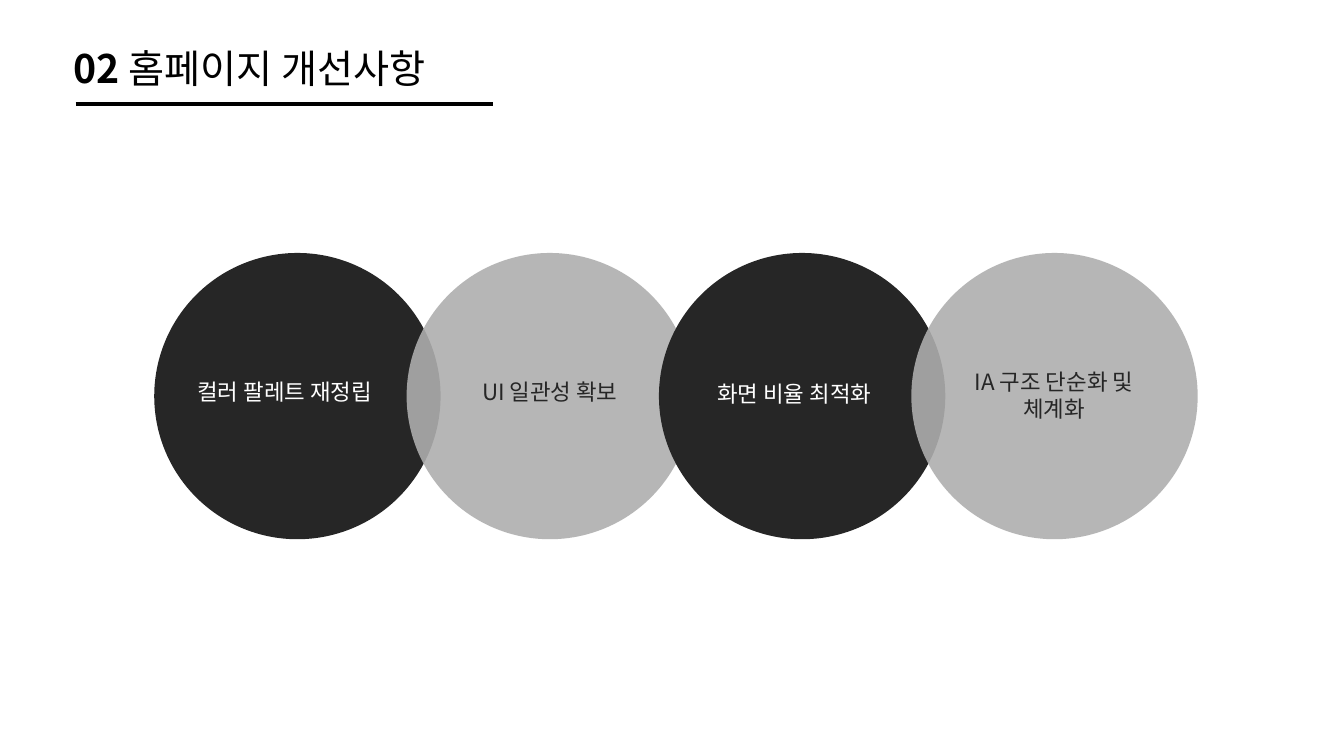
from lxml import etree
from pptx import Presentation
from pptx import util as u
from pptx.dml.color import RGBColor
from pptx.enum import shapes, text
from pptx.oxml import ns

WIDTH, HEIGHT = 13.33, 7.5
KOREAN = "Noto Sans CJK KR"
DARK, GREY, WHITE, BLACK = "262626", "AEAEAE", "FFFFFF", "000000"
DIAMETER, PITCH = 2.84, 2.503

STEPS = [
    ("컬러 팔레트 재정립", (0.33, 1.19, 2.31, 0.37), "Roboto", text.PP_ALIGN.LEFT),
    ("UI 일관성 확보", (0.51, 1.19, 1.82, 0.37), KOREAN, text.PP_ALIGN.CENTER),
    ("화면 비율 최적화", (0.48, 1.21, 1.88, 0.37), "Roboto", text.PP_ALIGN.LEFT),
    ("IA 구조 단순화 및 체계화", (0.31, 1.09, 2.21, 0.64), KOREAN, text.PP_ALIGN.CENTER),
]


def rgb(color):
    return RGBColor.from_string(color)


def inches(*lengths):
    return [u.Inches(length) for length in lengths]


def format_paragraph(p, size, font, color, align):
    p.alignment = align
    p.font.size = u.Pt(size)
    p.font.name = font
    p.font.color.rgb = rgb(color)
    latin = p._p.pPr.find(".//" + ns.qn("a:latin"))
    east_asian = etree.Element(ns.qn("a:ea"), typeface=KOREAN)
    latin.addnext(east_asian)


def add_heading(s, left, top, width, height):
    title = s.shapes.title
    title.left, title.top, title.width, title.height = inches(left, top, width, height)
    tf = title.text_frame
    tf.word_wrap = True
    tf.auto_size = text.MSO_AUTO_SIZE.NONE
    tf.vertical_anchor = text.MSO_ANCHOR.MIDDLE
    p = tf.paragraphs[0]
    p.line_spacing = 0.9
    for words, bold in (("02 ", True), ("홈페이지 개선사항", False)):
        r = p.add_run()
        r.text = words
        r.font.bold = bold
    format_paragraph(p, 28, KOREAN, BLACK, text.PP_ALIGN.LEFT)

    x, y = left + 0.12, top + 0.81
    rule = s.shapes.add_connector(
        shapes.MSO_CONNECTOR.STRAIGHT, *inches(x, y, x + 4.14, y))
    rule.line.color.rgb = rgb(BLACK)
    rule.line.width = u.Pt(3)
    etree.SubElement(rule._element.spPr, ns.qn("a:effectLst"))


def add_circle(s, left, top, color, opacity):
    sp = s.shapes.add_shape(
        shapes.MSO_SHAPE.OVAL, *inches(left, top, DIAMETER, DIAMETER))
    sp.shadow.inherit = False
    sp.fill.solid()
    sp.fill.fore_color.rgb = rgb(color)
    sp.line.fill.background()
    if opacity < 100:
        fill = sp._element.spPr.find(ns.qn("a:solidFill"))
        etree.SubElement(fill[0], ns.qn("a:alpha"), val=str(opacity * 1000))


def add_label(s, left, top, width, height, words, font, color, align):
    sp = s.shapes.add_textbox(*inches(left, top, width, height))
    tf = sp.text_frame
    tf.word_wrap = True
    tf.auto_size = text.MSO_AUTO_SIZE.SHAPE_TO_FIT_TEXT
    p = tf.paragraphs[0]
    p.text = words
    format_paragraph(p, 16, font, color, align)


def add_chain(s, left, top):
    for i, (words, (dx, dy, width, height), font, align) in enumerate(STEPS):
        x = left + i * PITCH
        fill, opacity, ink = (GREY, 89, DARK) if i % 2 else (DARK, 100, WHITE)
        add_circle(s, x, top, fill, opacity)
        add_label(s, x + dx, top + dy, width, height, words, font, ink, align)


def main():
    prs = Presentation()
    prs.slide_width, prs.slide_height = inches(WIDTH, HEIGHT)
    s = prs.slides.add_slide(prs.slide_layouts[5])
    add_heading(s, 0.63, 0.22, 4.2, 0.97)
    add_chain(s, 1.53, 2.51)
    prs.save("out.pptx")


if __name__ == "__main__":
    main()
